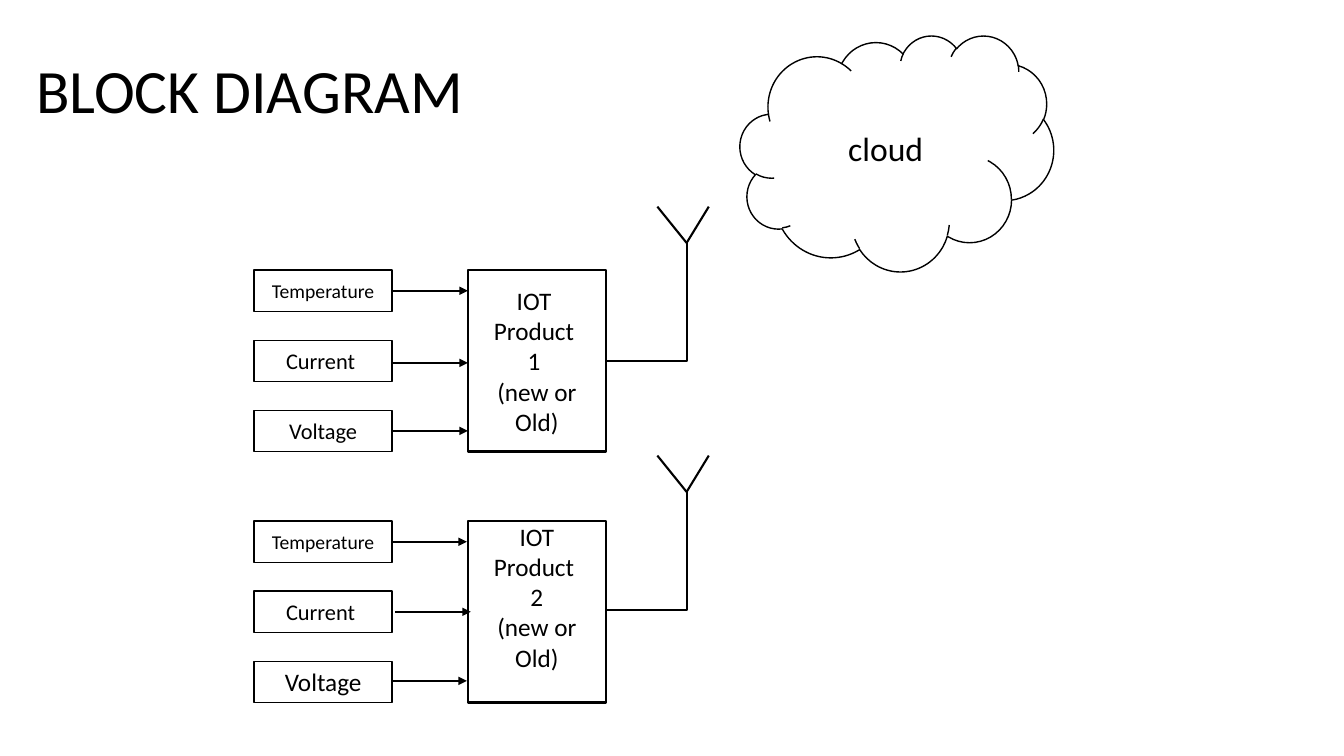
from dataclasses import dataclass

from lxml.etree import SubElement
from pptx import Presentation
from pptx.dml.color import RGBColor
from pptx.enum.shapes import MSO_CONNECTOR as Connector, MSO_SHAPE as Shape
from pptx.enum.text import MSO_ANCHOR as Anchor, PP_ALIGN as Align
from pptx.oxml.ns import qn
from pptx.util import Inches, Pt

BLACK = RGBColor(0x00, 0x00, 0x00)
WHITE = RGBColor(0xFF, 0xFF, 0xFF)
FONT = "Calibri"

BLOCK_W, PRODUCT_H, SENSOR_H = 1.37, 1.8, 0.41
PRODUCT_DX = 2.12
SENSOR_PITCH = (PRODUCT_H - SENSOR_H) / 2


@dataclass
class Station:
    """One product with its sensors, and small shifts of its lines."""
    top: float
    product: str
    sensors: list
    arrow_shifts: list
    antenna_base: float
    bottom_inset: float = 0.05


STATIONS = [
    Station(2.68, "IOT \nProduct \n1 \n(new or\nOld)",
            [("Temperature", 14), ("Current ", 16), ("Voltage", 16)],
            [(0, 0), (0, 0.02), (0, 0)], 3.58),
    Station(5.17, "IOT Product \n2\n(new or\nOld)",
            [("Temperature", 14), ("Current ", 16), ("Voltage", 18)],
            [(-0.01, 0), (0.03, 0), (-0.01, -0.01)], 6.05, bottom_inset=0.35),
]


def write(frame, text, size, align=Align.CENTER, spacing=None, bottom_inset=0.05):
    frame.word_wrap = True
    frame.vertical_anchor = Anchor.MIDDLE
    frame.margin_bottom = Inches(bottom_inset)
    frame.text = text
    for paragraph in frame.paragraphs:
        paragraph.alignment = align
        paragraph.line_spacing = spacing
        font = paragraph.runs[0].font
        font.name, font.size, font.color.rgb = FONT, Pt(size), BLACK


def add_block(slide, kind, x, y, w, h, text, size, line_width=1, **text_format):
    block = slide.shapes.add_shape(kind, Inches(x), Inches(y), Inches(w), Inches(h))
    block.shadow.inherit = False
    block.fill.solid()
    block.fill.fore_color.rgb = WHITE
    block.line.color.rgb = BLACK
    block.line.width = Pt(line_width)
    write(block.text_frame, text, size, **text_format)


def add_wire(slide, start, end, kind=Connector.STRAIGHT, arrow=False):
    wire = slide.shapes.add_connector(kind, *map(Inches, start + end))
    wire.line.color.rgb = BLACK
    wire.line.width = Pt(1.5)
    properties = wire._element.spPr
    if kind == Connector.ELBOW:
        # A single right-angled bend
        properties.find(qn("a:prstGeom")).set("prst", "bentConnector2")
    if arrow:
        SubElement(properties.find(qn("a:ln")), qn("a:tailEnd"), type="triangle")
    SubElement(properties, qn("a:effectLst"))


def add_antenna(slide, x, base):
    mast_x, fork_y = x + 0.8, base - 1.17
    add_wire(slide, (x, base), (mast_x, fork_y), Connector.ELBOW)
    for tip_dx in (-0.29, 0.22):
        add_wire(slide, (mast_x + tip_dx, fork_y - 0.36), (mast_x, fork_y))


def add_station(slide, x, station):
    product_x = x + PRODUCT_DX
    add_block(slide, Shape.RECTANGLE, product_x, station.top, BLOCK_W, PRODUCT_H,
              station.product, 18, line_width=1.5,
              bottom_inset=station.bottom_inset)
    for row, (sensor, size) in enumerate(station.sensors):
        y = station.top + row * SENSOR_PITCH
        add_block(slide, Shape.RECTANGLE, x, y, BLOCK_W, SENSOR_H, sensor, size)
        dx, dy = station.arrow_shifts[row]
        arrow_y = y + SENSOR_H / 2 + dy
        add_wire(slide, (x + BLOCK_W + dx, arrow_y), (product_x + dx, arrow_y),
                 arrow=True)
    add_antenna(slide, product_x + BLOCK_W, station.antenna_base)


def add_title(slide, x, y, w, h):
    title = slide.shapes.add_textbox(Inches(x), Inches(y), Inches(w), Inches(h))
    write(title.text_frame, "BLOCK DIAGRAM", 44, align=Align.LEFT, spacing=0.9)


def main():
    deck = Presentation()
    deck.slide_width, deck.slide_height = Inches(13.33), Inches(7.5)
    slide = deck.slides.add_slide(deck.slide_layouts[6])
    add_title(slide, 0.26, 0.2, 11.5, 1.45)
    add_block(slide, Shape.CLOUD, 7.34, 0.35, 3.11, 2.34, "cloud", 24)
    for station in STATIONS:
        add_station(slide, 2.52, station)
    deck.save("out.pptx")


if __name__ == "__main__":
    main()
